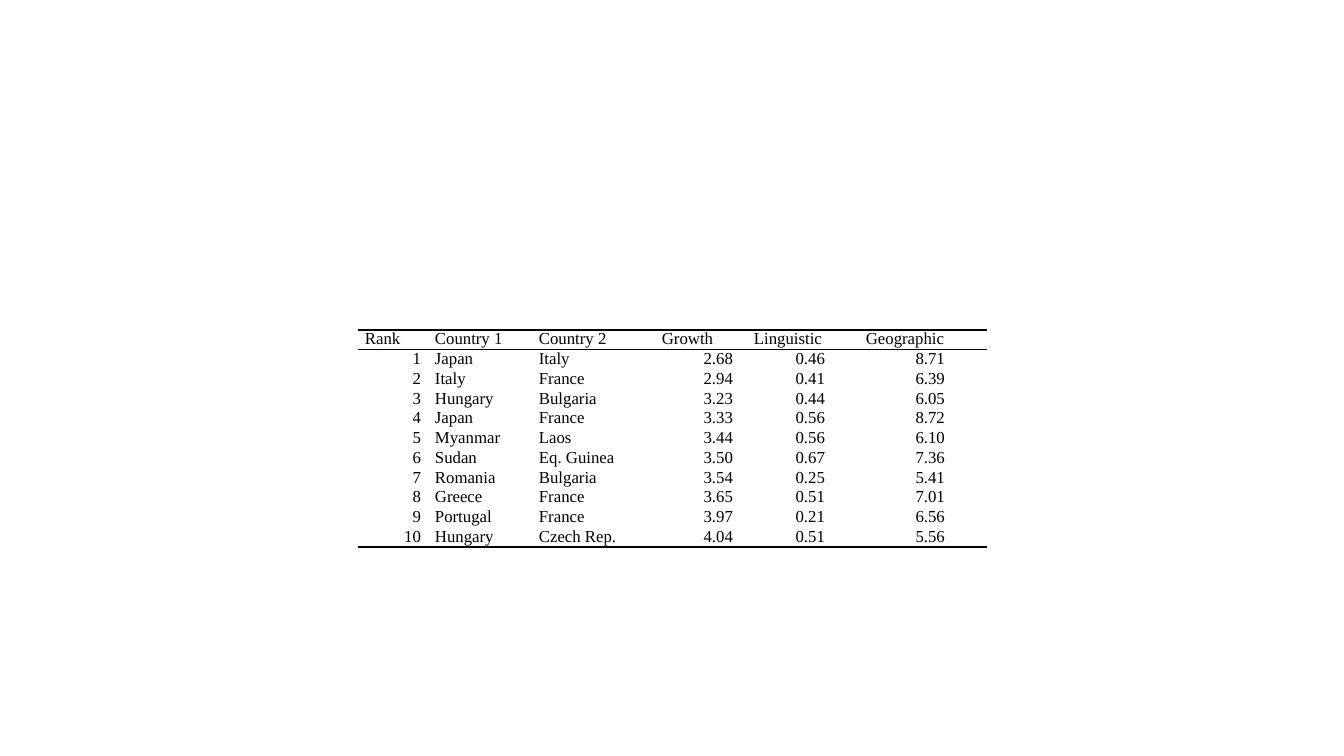
from dataclasses import dataclass

from lxml import etree
from pptx import Presentation
from pptx.dml.color import RGBColor
from pptx.enum.text import PP_ALIGN
from pptx.oxml.ns import qn
from pptx.util import Pt

LEFT, RIGHT = PP_ALIGN.LEFT, PP_ALIGN.RIGHT
EMU_PER_PIXEL = 914400 / 100.8
BLANK_LAYOUT = 6


@dataclass(frozen=True)
class Theme:
    """Colours, type and line widths of the slide."""
    font: str = "Times New Roman"
    size: int = 12
    ink: str = "000000"
    rule_width: int = 1
    side_margin: int = 7


@dataclass(frozen=True)
class Column:
    """Heading, width and body alignment of one table column."""
    heading: str
    width: int
    align: PP_ALIGN = LEFT
    right_margin: int = 7


THEME = Theme()

COLUMNS = [
    Column("Rank", 70, RIGHT),
    Column("Country 1", 104),
    Column("Country 2", 123),
    Column("Growth", 92, RIGHT, 14),
    Column("Linguistic", 112, RIGHT, 34),
    Column("Geographic", 128, RIGHT, 42),
]

COUNTRY_PAIRS = [
    ("Japan", "Italy", 2.68, 0.46, 8.71),
    ("Italy", "France", 2.94, 0.41, 6.39),
    ("Hungary", "Bulgaria", 3.23, 0.44, 6.05),
    ("Japan", "France", 3.33, 0.56, 8.72),
    ("Myanmar", "Laos", 3.44, 0.56, 6.10),
    ("Sudan", "Eq. Guinea", 3.50, 0.67, 7.36),
    ("Romania", "Bulgaria", 3.54, 0.25, 5.41),
    ("Greece", "France", 3.65, 0.51, 7.01),
    ("Portugal", "France", 3.97, 0.21, 6.56),
    ("Hungary", "Czech Rep.", 4.04, 0.51, 5.56),
]


def px(pixels):
    """Turn pixels into EMU."""
    return round(pixels * EMU_PER_PIXEL)


def table_rows():
    """Return the texts of the heading row and the ranked rows."""
    rows = [[column.heading for column in COLUMNS]]
    for rank, (first, second, *distances) in enumerate(COUNTRY_PAIRS, 1):
        rows.append([str(rank), first, second, *(f"{value:.2f}" for value in distances)])
    return rows


def set_borders(cell, ruled_sides):
    """Draw a rule on the given sides of a cell and clear the others."""
    properties = cell._tc.get_or_add_tcPr()
    for side in ("L", "R", "T", "B"):
        line = etree.SubElement(properties, qn(f"a:ln{side}"), w=str(Pt(THEME.rule_width)))
        if side in ruled_sides:
            fill = etree.SubElement(line, qn("a:solidFill"))
            etree.SubElement(fill, qn("a:srgbClr"), val=THEME.ink)
        else:
            etree.SubElement(line, qn("a:noFill"))


def fill_cell(cell, text, align, right_margin):
    """Write one line of text into an unfilled cell."""
    cell.margin_left, cell.margin_right = px(THEME.side_margin), px(right_margin)
    cell.margin_top = cell.margin_bottom = 0
    cell.fill.background()
    para = cell.text_frame.paragraphs[0]
    para.text = text
    para.alignment = align
    para.font.name = THEME.font
    para.font.size = Pt(THEME.size)
    para.font.bold = False
    para.font.color.rgb = RGBColor.from_string(THEME.ink)


def add_ranking(page, left, top, height):
    """Add the ranking table, ruled around its heading and at its foot."""
    rows = table_rows()
    width = sum(column.width for column in COLUMNS)
    table = page.shapes.add_table(
        len(rows), len(COLUMNS), px(left), px(top), px(width), px(height)).table
    table.first_row = table.horz_banding = False
    for index, column in enumerate(COLUMNS):
        table.columns[index].width = px(column.width)

    ruled_edges = {0, 1, len(rows)}
    for row, texts in enumerate(rows):
        sides = [side for side, edge in (("T", row), ("B", row + 1)) if edge in ruled_edges]
        for index, (column, text) in enumerate(zip(COLUMNS, texts)):
            cell = table.cell(row, index)
            set_borders(cell, sides)
            if row == 0:
                fill_cell(cell, text, LEFT, THEME.side_margin)
            else:
                fill_cell(cell, text, column.align, column.right_margin)


def main():
    """Build the deck and save it."""
    deck = Presentation()
    deck.slide_width, deck.slide_height = px(1344), px(756)
    page = deck.slides.add_slide(deck.slide_layouts[BLANK_LAYOUT])
    add_ranking(page, left=358, top=330, height=217)
    deck.save("out.pptx")


main()
